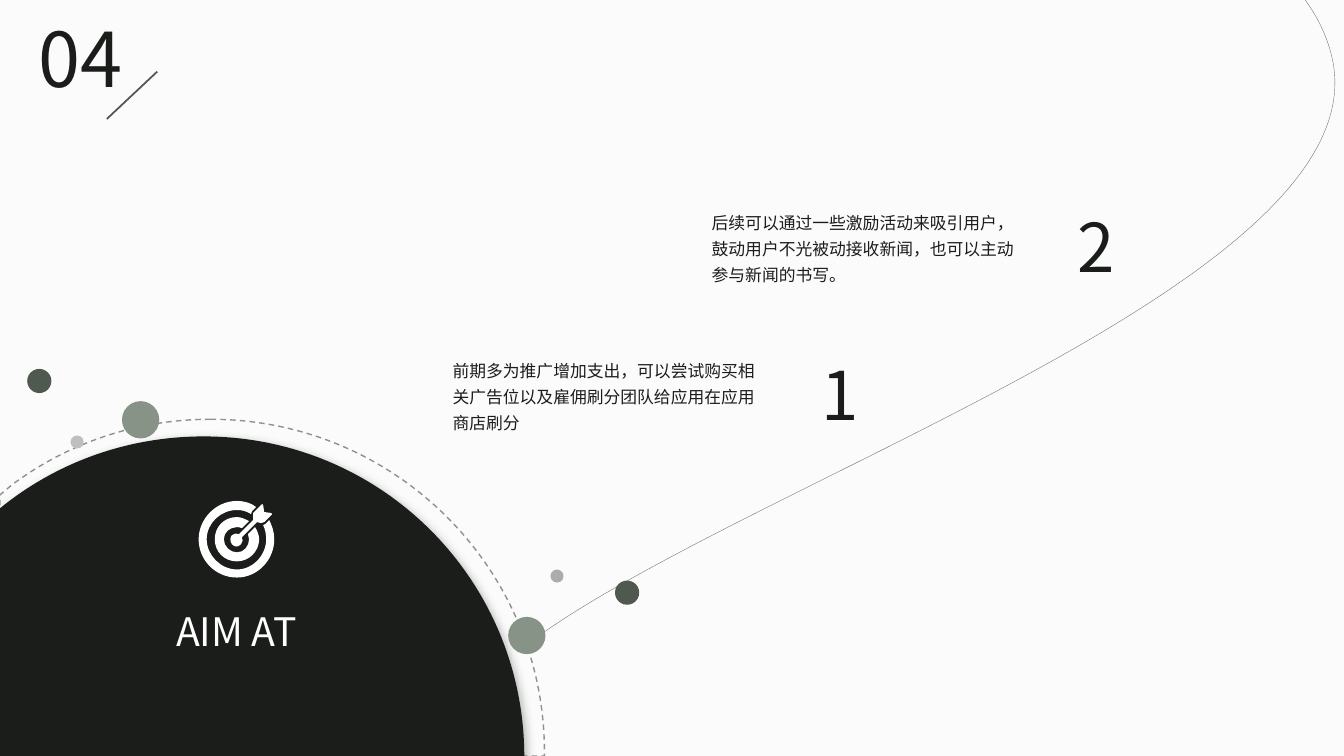
from lxml.etree import SubElement
from pptx import Presentation
from pptx.dml.color import RGBColor
from pptx.enum.dml import MSO_LINE
from pptx.enum.shapes import MSO_CONNECTOR, MSO_SHAPE
from pptx.enum.text import MSO_AUTO_SIZE, PP_ALIGN
from pptx.oxml.ns import qn
from pptx.util import Inches, Pt

FONT = "Noto Sans CJK SC"
INK, PAPER, WHITE = "1A1D1A", "FBFBFB", "FFFFFF"
SAGE, MOSS, SLATE = "879387", "505950", "545454"

SWEEP = [[(0, 0), (6.12, 0, 11.07, 1.84, 11.07, 4.09),
          (11.07, 6.35, 4.59, 6.67, 1.98, 7.64)]]
ORBIT = [[(2.09, 0), (3.92, 0, 5.4, 1.48, 5.4, 3.3), (5.4, 3.34), (0, 3.34),
          (0, 0.75), (0.12, 0.65), (0.67, 0.24, 1.35, 0, 2.09, 0)]]
DISC = [[(2.34, 0), (4.1, 0, 5.52, 1.42, 5.52, 3.18), (5.52, 3.26), (0, 3.26),
         (0, 1.02), (0.08, 0.93), (0.66, 0.35, 1.46, 0, 2.34, 0)]]
TARGET = [
    [(0.54, 0.12), (0.63, 0.03), (0.64, 0.04), (0.65, 0.11), (0.72, 0.12),
     (0.73, 0.13), (0.65, 0.21), (0.64, 0.22, 0.63, 0.22, 0.62, 0.22),
     (0.58, 0.21), (0.43, 0.36), (0.44, 0.38, 0.44, 0.41, 0.42, 0.43),
     (0.39, 0.46, 0.36, 0.46, 0.33, 0.43), (0.31, 0.4, 0.31, 0.36, 0.33, 0.34),
     (0.35, 0.32, 0.38, 0.32, 0.4, 0.33), (0.54, 0.19), (0.54, 0.14)],
    [(0.7, 0.19), (0.66, 0.23), (0.64, 0.24), (0.66, 0.28, 0.67, 0.33, 0.67, 0.38),
     (0.67, 0.54, 0.54, 0.68, 0.38, 0.68), (0.22, 0.68, 0.08, 0.54, 0.08, 0.38),
     (0.08, 0.22, 0.22, 0.09, 0.38, 0.09), (0.43, 0.09, 0.47, 0.1, 0.52, 0.13),
     (0.53, 0.1), (0.57, 0.06), (0.52, 0.02, 0.45, 0, 0.38, 0),
     (0.17, 0, 0, 0.18, 0, 0.38), (0, 0.59, 0.17, 0.76, 0.38, 0.76),
     (0.58, 0.76, 0.75, 0.59, 0.75, 0.38), (0.75, 0.31, 0.73, 0.25, 0.7, 0.19)],
    [(0.38, 0.26), (0.39, 0.26, 0.41, 0.26, 0.43, 0.27), (0.5, 0.2),
     (0.46, 0.18, 0.42, 0.16, 0.38, 0.16), (0.25, 0.16, 0.16, 0.26, 0.16, 0.38),
     (0.16, 0.5, 0.25, 0.6, 0.38, 0.6), (0.5, 0.6, 0.6, 0.5, 0.6, 0.38),
     (0.6, 0.34, 0.58, 0.29, 0.56, 0.26), (0.49, 0.33),
     (0.5, 0.35, 0.5, 0.36, 0.5, 0.38), (0.5, 0.45, 0.45, 0.51, 0.38, 0.51),
     (0.31, 0.51, 0.25, 0.45, 0.25, 0.38), (0.25, 0.31, 0.31, 0.26, 0.38, 0.26)],
]


def rgb(value):
    """Turn a hex string into a colour."""
    return RGBColor.from_string(value)


def paint(sp, fill=None, line=None, width=1, alpha=100, dash=None):
    """Set the fill and outline of a shape and drop its shadow."""
    sp.shadow.inherit = False
    if fill:
        sp.fill.solid()
        sp.fill.fore_color.rgb = rgb(fill)
    else:
        sp.fill.background()
    if not line:
        sp.line.fill.background()
        return
    sp.line.color.rgb = rgb(line)
    for name, value in {"width": Pt(width), "dash_style": dash}.items():
        setattr(sp.line, name, value)
    clr = sp.line._get_or_add_ln().find(".//" + qn("a:srgbClr"))
    SubElement(clr, qn("a:alpha"), val=str(alpha * 1000))


def add_outline(s, box, contours, closed=True, **look):
    """Draw contours of lines (2 numbers) and curves (6 numbers) inside a box."""
    x, y, w, h = box
    fb = s.shapes.build_freeform(Inches(x), Inches(y), scale=1.0)
    fb.add_line_segments([(Inches(x + w), Inches(y + h))], close=False)
    sp = fb.convert_to_shape()
    outline = sp._element.find(".//" + qn("a:path"))
    for child in list(outline):
        outline.remove(child)
    for contour in contours:
        for i, seg in enumerate(contour):
            tag = "a:cubicBezTo" if len(seg) == 6 else "a:lnTo" if i else "a:moveTo"
            step = SubElement(outline, qn(tag))
            for px, py in zip(seg[::2], seg[1::2]):
                SubElement(step, qn("a:pt"), x=str(Inches(px)), y=str(Inches(py)))
        if closed:
            SubElement(outline, qn("a:close"))
    paint(sp, **look)
    return sp


def add_text(s, box, text, size, color=INK, align=PP_ALIGN.LEFT, spacing=None):
    """Place a one-paragraph text box."""
    tf = s.shapes.add_textbox(*map(Inches, box)).text_frame
    tf.word_wrap = True
    tf.auto_size = MSO_AUTO_SIZE.SHAPE_TO_FIT_TEXT
    p = tf.paragraphs[0]
    for name, value in {"alignment": align, "line_spacing": spacing}.items():
        setattr(p, name, value)
    r = p.add_run()
    r.text = text
    for name, value in {"size": Pt(size), "name": FONT}.items():
        setattr(r.font, name, value)
    r.font.color.rgb = rgb(color)
    SubElement(r._r.get_or_add_rPr(), qn("a:ea"), typeface=FONT)


def add_shadow(sp, color, alpha, blur, dist, angle):
    """Give a shape a soft outer shadow."""
    effects = sp._element.spPr.find(qn("a:effectLst"))
    shadow = SubElement(effects, qn("a:outerShdw"), blurRad=str(Pt(blur)),
                        dist=str(Pt(dist)), dir=str(angle * 60000),
                        algn="tl", rotWithShape="0")
    clr = SubElement(shadow, qn("a:srgbClr"), val=color)
    SubElement(clr, qn("a:alpha"), val=str(alpha * 1000))


def add_sweep(s, x, y):
    """Draw the long thin curve, tilted anticlockwise."""
    sp = add_outline(s, (x, y, 11.07, 7.64), SWEEP, closed=False,
                     line=INK, width=0.25, alpha=64)
    sp.rotation = 345


def add_dome(s, x, y):
    """Draw the dashed orbit and the dark disc inside it."""
    add_outline(s, (x, y, 5.4, 3.34), ORBIT, line=INK, alpha=48, dash=MSO_LINE.DASH)
    disc = add_outline(s, (x - 0.32, y + 0.17, 5.52, 3.26), DISC, fill=INK)
    add_shadow(disc, MOSS, 40, 6, 3, 45)


def add_satellites(s, x, y, moss_at, grey_at, grey):
    """Draw a large dot at x, y with two smaller dots offset from it."""
    dots = [((0, 0), 0.37, SAGE), (moss_at, 0.24, MOSS), (grey_at, 0.13, grey)]
    for (dx, dy), size, color in dots:
        box = map(Inches, (x + dx, y + dy, size, size))
        paint(s.shapes.add_shape(MSO_SHAPE.OVAL, *box), fill=color)


def add_heading(s, x, y):
    """Place the section number and its slash."""
    add_text(s, (x, y, 1.14, 1.01), "04", 54, align=PP_ALIGN.JUSTIFY)
    ends = map(Inches, (x + 1.28, y + 0.64, x + 0.78, y + 1.11))
    cn = s.shapes.add_connector(MSO_CONNECTOR.STRAIGHT, *ends)
    cn.line.color.rgb = rgb(SLATE)
    cn.line.width = Pt(1.25)
    SubElement(cn._element.spPr, qn("a:effectLst"))


def add_step(s, x, y, number, number_dx, text):
    """Place a step's description with its number on the right."""
    add_text(s, (x, y, 3.35, 0.86), text, 12, spacing=1.3)
    add_text(s, (x + number_dx, y - 0.01, 1, 0.91), number, 48, align=PP_ALIGN.CENTER)


def add_aim(s, x, y):
    """Place the target icon above its label."""
    add_text(s, (x, y + 1.01, 2.07, 0.57), "AIM AT", 28, WHITE, PP_ALIGN.CENTER)
    add_outline(s, (x + 0.66, y, 0.75, 0.76), TARGET, fill=WHITE)


def main():
    """Build the slide and save it."""
    prs = Presentation()
    prs.slide_width, prs.slide_height = Inches(13.33), Inches(7.5)
    s = prs.slides.add_slide(prs.slide_layouts[6])
    s.background.fill.solid()
    s.background.fill.fore_color.rgb = rgb(PAPER)
    add_sweep(s, 2.25, -2.12)
    add_dome(s, 0, 4.16)
    add_satellites(s, 1.21, 3.98, (-0.94, -0.32), (-0.51, 0.34), "BFBFBF")
    add_satellites(s, 5.04, 6.12, (1.06, -0.36), (0.42, -0.47), "AFABAB")
    add_heading(s, 0.28, 0.07)
    add_step(s, 6.96, 2, "2", 3.41, "后续可以通过一些激励活动来吸引用户，鼓动用户不光被动接收新闻，也可以主动参与新闻的书写。")
    add_step(s, 4.39, 3.47, "1", 3.44, "前期多为推广增加支出，可以尝试购买相关广告位以及雇佣刷分团队给应用在应用商店刷分")
    add_aim(s, 1.31, 4.97)
    prs.save("out.pptx")


if __name__ == "__main__":
    main()
